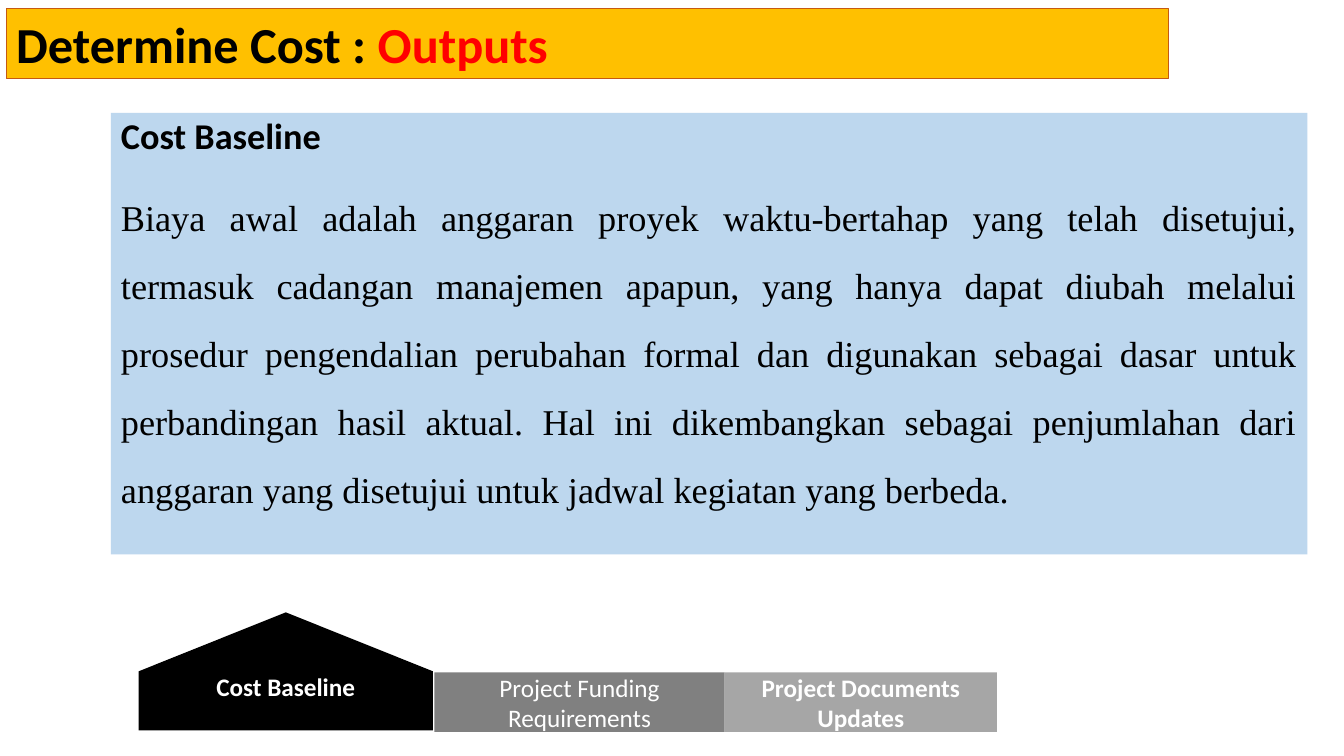
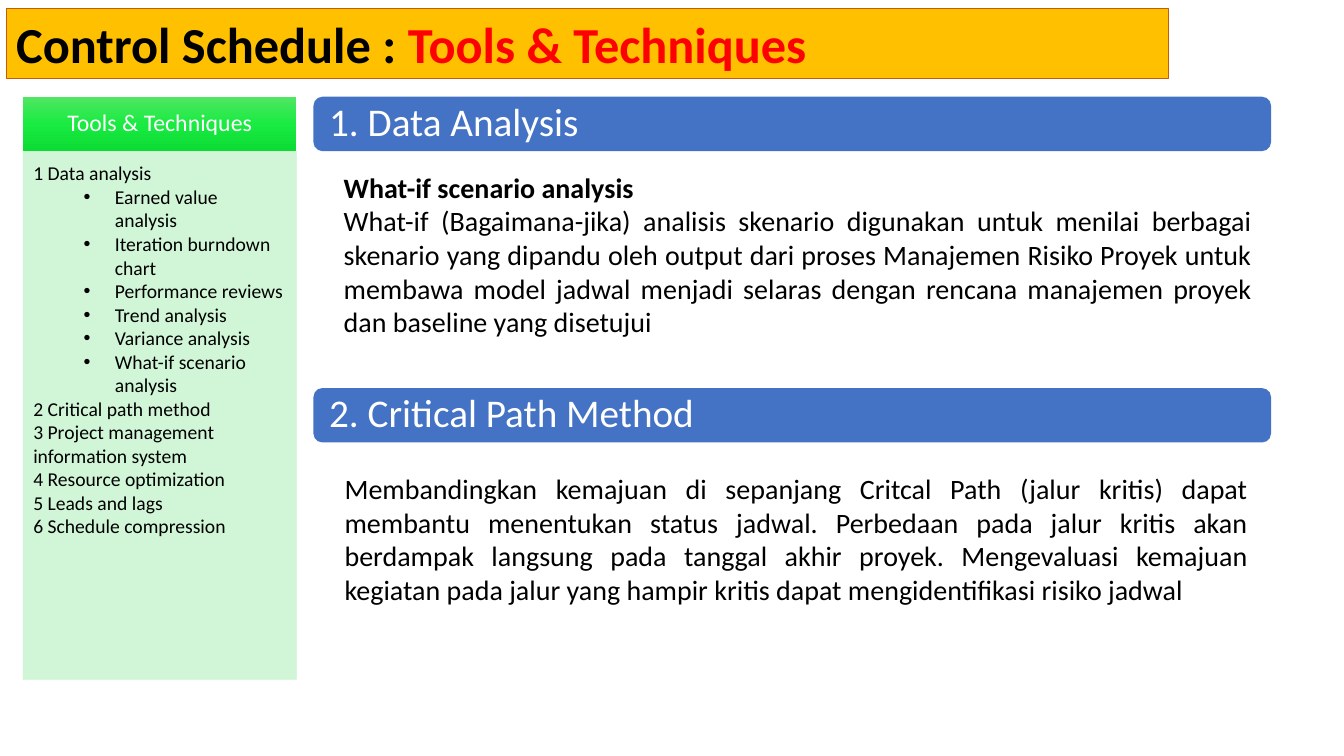
from copy import deepcopy
from dataclasses import dataclass

from lxml.etree import SubElement as Sub
from pptx import Presentation
from pptx.dml.color import RGBColor as Rgb
from pptx.enum.shapes import MSO_SHAPE as Kind
from pptx.enum.text import MSO_ANCHOR as Anchor, MSO_AUTO_SIZE as Fit, PP_ALIGN as Align
from pptx.oxml.ns import qn
from pptx.util import Inches, Pt


@dataclass(frozen=True)
class Theme:
    # Colours
    black: str = "000000"
    white: str = "FFFFFF"
    red: str = "FF0000"
    gold: str = "FFC000"
    rust: str = "C55A11"
    sky: str = "BDD7EE"
    blue: str = "4472C4"
    mint: str = "CCF6D3"
    gray: str = "808080"
    silver: str = "A6A6A6"
    greens: tuple = ("51E663", "19EB42", "0CDB34")
    # Fonts and type sizes
    sans: str = "Calibri"
    serif: str = "Times New Roman"
    title: float = 36
    head: float = 28
    lead: float = 25.9
    body: float = 20
    tab: float = 18
    label: float = 17
    item: float = 14


class Deck:
    """Slides on a grid of square cells, ten to the inch."""

    pad = (1, 0.5, 1, 0.5)

    def __init__(self, theme):
        self.theme = theme
        self.prs = Presentation()
        self.prs.slide_width, self.prs.slide_height = self.cells(133.33, 75)

    def cells(self, *counts):
        return [Inches(n / 10) for n in counts]

    def place(self, shape, box):
        shape.left, shape.top, shape.width, shape.height = self.cells(*box)

    def paint(self, shape, fill, line=None, width=0.75):
        shape.fill.solid()
        shape.fill.fore_color.rgb = Rgb.from_string(fill)
        if line:
            shape.line.color.rgb = Rgb.from_string(line)
            shape.line.width = Pt(width)
        else:
            shape.line.fill.background()

    def fade(self, shape, share):
        for tone in shape._element.spPr.iter(qn("a:srgbClr")):
            Sub(tone, qn("a:alpha"), val=str(share * 1000))

    def style(self, par, size, color, bold=False, font=None):
        for run in par.runs:
            run.font.size, run.font.bold = Pt(size), bold
            run.font.name = font or self.theme.sans
            run.font.color.rgb = Rgb.from_string(color)

    def text(self, shape, lines, size, color=None, bold=False, align=Align.LEFT,
             anchor=Anchor.TOP, pad=pad, space=1.0):
        frame = shape.text_frame
        frame.text = "\n".join(lines)
        frame.word_wrap, frame.auto_size = True, Fit.NONE
        frame.vertical_anchor = anchor
        (frame.margin_left, frame.margin_top,
         frame.margin_right, frame.margin_bottom) = self.cells(*pad)
        for par in frame.paragraphs:
            par.alignment, par.line_spacing = align, space
            par.space_before = Pt(0)
            self.style(par, size, color or self.theme.black, bold)
        return frame.paragraphs

    def mark(self, par, left=0, hang=0, sign=None):
        """Set the indent of a list line and its bullet, if any."""
        props = par._p.get_or_add_pPr()
        props.set("marL", str(Inches(left / 10)))
        props.set("indent", str(-Inches(hang / 10)))
        if sign:
            Sub(props, qn("a:buFont"), typeface="Arial")
            Sub(props, qn("a:buChar"), char=sign)
        else:
            Sub(props, qn("a:buNone"))

    def slide(self, topic, part):
        """Start a slide with its title band."""
        look = self.theme
        self.page = self.prs.slides.add_slide(self.prs.slide_layouts[1])
        band = self.page.shapes.title
        self.place(band, (0.6, 0.8, 115.3, 7))
        self.paint(band, look.gold, look.rust)
        par = self.text(band, [topic + " : "], look.title, bold=True)[0]
        par.add_run().text = part
        self.style(par, look.title, look.black, True)
        par.runs[1].font.color.rgb = Rgb.from_string(look.red)

    def panel(self, box, fill, lines, size, **opts):
        """Fill the body placeholder with unmarked lines."""
        body = self.page.placeholders[1]
        self.place(body, box)
        self.paint(body, fill)
        pars = self.text(body, lines, size, **opts)
        return body, pars

    def shape(self, kind, box, fill):
        item = self.page.shapes.add_shape(kind, *self.cells(*box))
        item.shadow.inherit = False
        self.paint(item, fill)
        return item

    def block(self, kind, box, fill, text, size, align=Align.CENTER, **opts):
        item = self.shape(kind, box, fill)
        self.text(item, [text], size, self.theme.white, align=align,
                  anchor=Anchor.MIDDLE, **opts)
        return item

    def head(self, row, text):
        self.block(Kind.ROUNDED_RECTANGLE, (31.1, row, 95, 5.4), self.theme.blue,
                   text, self.theme.head, Align.LEFT, pad=(1.3, 0, 1.3, 0), space=0.9)

    def prose(self, box, lines, **opts):
        note = self.page.shapes.add_textbox(*self.cells(*box))
        return self.text(note, lines, self.theme.body, align=Align.JUSTIFY, **opts)

    def blend(self, shape, tones):
        """Run evenly spaced tones from top to bottom."""
        shape.fill.gradient()
        shape.fill.gradient_angle = 270
        stops = shape._element.spPr.find(".//" + qn("a:gsLst"))
        while len(stops) < len(tones):
            stops.append(deepcopy(stops[0]))
        for i, (stop, tone) in enumerate(zip(shape.fill.gradient_stops, tones)):
            stop.color.rgb = Rgb.from_string(tone)
            stop.position = i / (len(tones) - 1)


def cost(deck):
    look = deck.theme
    deck.slide("Determine Cost", "Outputs")

    # Definition panel
    _, (name, text) = deck.panel((11, 11.2, 118.7, 43.8), look.sky, [
        "Cost Baseline",
        "Biaya awal adalah anggaran proyek waktu-bertahap yang telah disetujui, "
        "termasuk cadangan manajemen apapun, yang hanya dapat diubah melalui "
        "prosedur pengendalian perubahan formal dan digunakan sebagai dasar untuk "
        "perbandingan hasil aktual. Hal ini dikembangkan sebagai penjumlahan dari "
        "anggaran yang disetujui untuk jadwal kegiatan yang berbeda.",
    ], look.lead, bold=True, space=0.9)
    for par in (name, text):
        deck.mark(par)
    deck.style(text, look.lead, look.black, font=look.serif)
    text.alignment, text.line_spacing = Align.JUSTIFY, 1.56
    text.space_before = Pt(10)

    # Output tabs, the current one pointing up
    tip = deck.block(Kind.PENTAGON, (22.5, 52, 11.7, 29.2), look.black,
                     "Cost Baseline", look.tab, bold=True)
    tip.rotation = 270
    tip.text_frame._txBody.bodyPr.set("vert", "vert")
    left = 43.1
    for text, wide, fill, bold in (
            ("Project Funding Requirements", 28.8, look.gray, False),
            ("Project Documents Updates", 27, look.silver, True)):
        deck.block(Kind.RECTANGLE, (left, 66.7, wide, 5.9), fill, text, look.tab, bold=bold)
        left += wide


def control(deck):
    look = deck.theme
    deck.slide("Control Schedule", "Tools & Techniques")

    # Side list
    label = deck.block(Kind.RECTANGLE, (2.3, 9.6, 27.1, 5.4), look.mint,
                       "Tools & Techniques", look.label, space=0.9)
    deck.blend(label, look.greens)
    tools = ["Earned value analysis", "Iteration burndown chart", "Performance reviews",
             "Trend analysis", "Variance analysis", "What-if scenario analysis"]
    side, pars = deck.panel((2.3, 15, 27.1, 52.4), look.mint, [
        "1 Data analysis", *tools, "2 Critical path method", "3 Project management",
        "information system", "4 Resource optimization", "5 Leads and lags",
        "6 Schedule compression",
    ], look.item, pad=(1, 1, 1.3, 1.5))
    deck.paint(side, look.mint, look.mint, 0.5)
    deck.fade(side, 90)
    for par in pars:
        if par.text in tools:
            par.level = 1
            deck.mark(par, 8.1, 3.1, "•")
        else:
            deck.mark(par)

    # Data analysis
    deck.head(9.6, "1. Data Analysis")
    name, _ = deck.prose((31.1, 16.6, 95, 19.5), [
        "What-if scenario analysis",
        "What-if (Bagaimana-jika) analisis skenario digunakan untuk menilai berbagai "
        "skenario yang dipandu oleh output dari proses Manajemen Risiko Proyek untuk "
        "membawa model jadwal menjadi selaras dengan rencana manajemen proyek dan "
        "baseline yang disetujui",
    ], pad=(3, 0.3, 1.9, 0.3))
    deck.style(name, look.body, look.black, True)

    # Critical path
    deck.head(38.5, "2. Critical Path Method")
    deck.prose((33.2, 46.3, 91.6, 14.5), [
        "Membandingkan kemajuan di sepanjang Critcal Path (jalur kritis) dapat "
        "membantu menentukan status jadwal. Perbedaan pada jalur kritis akan "
        "berdampak langsung pada tanggal akhir proyek. Mengevaluasi kemajuan "
        "kegiatan pada jalur yang hampir kritis dapat mengidentifikasi risiko jadwal",
    ])


def main():
    deck = Deck(Theme())
    cost(deck)
    control(deck)
    deck.prs.save("out.pptx")


if __name__ == "__main__":
    main()
